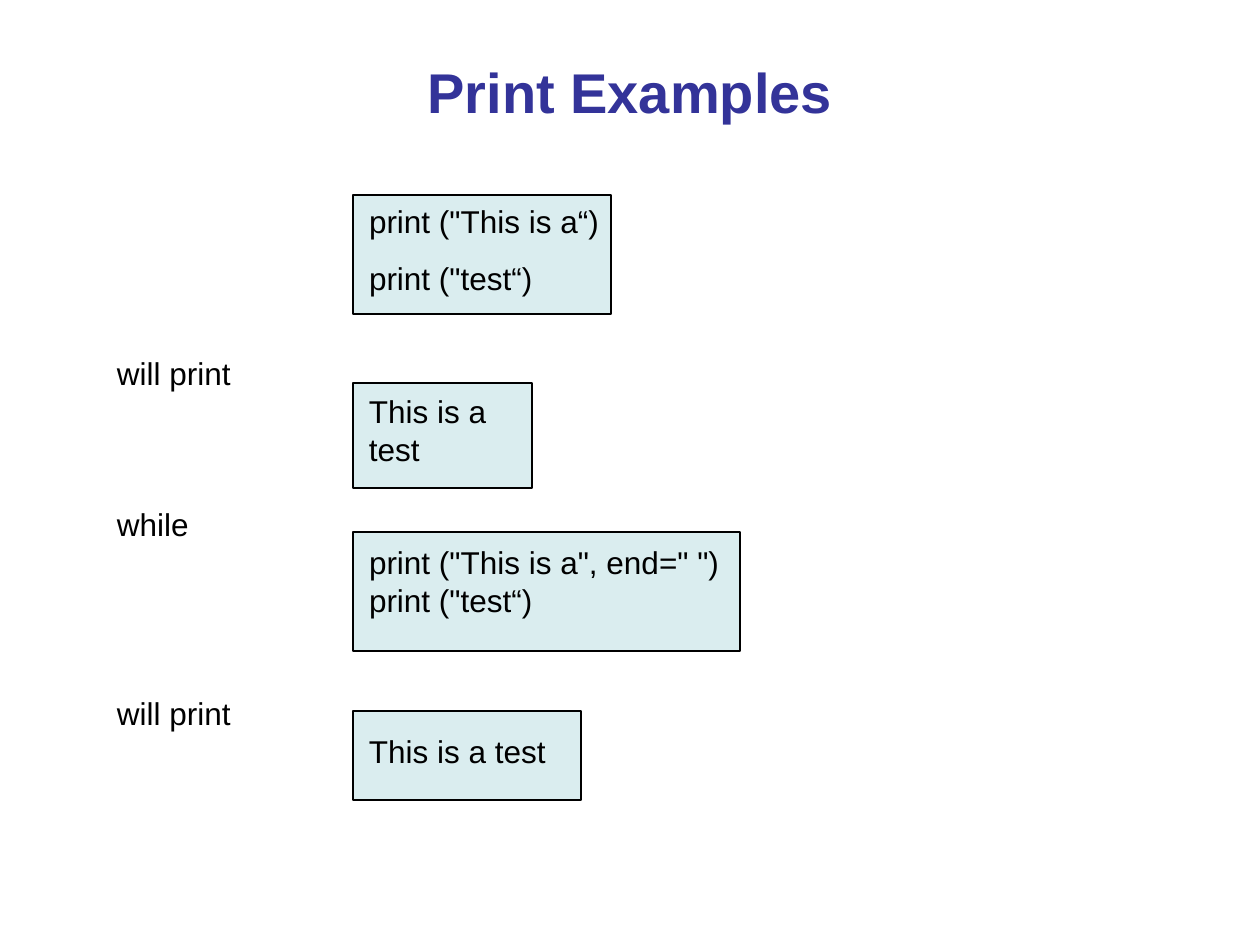
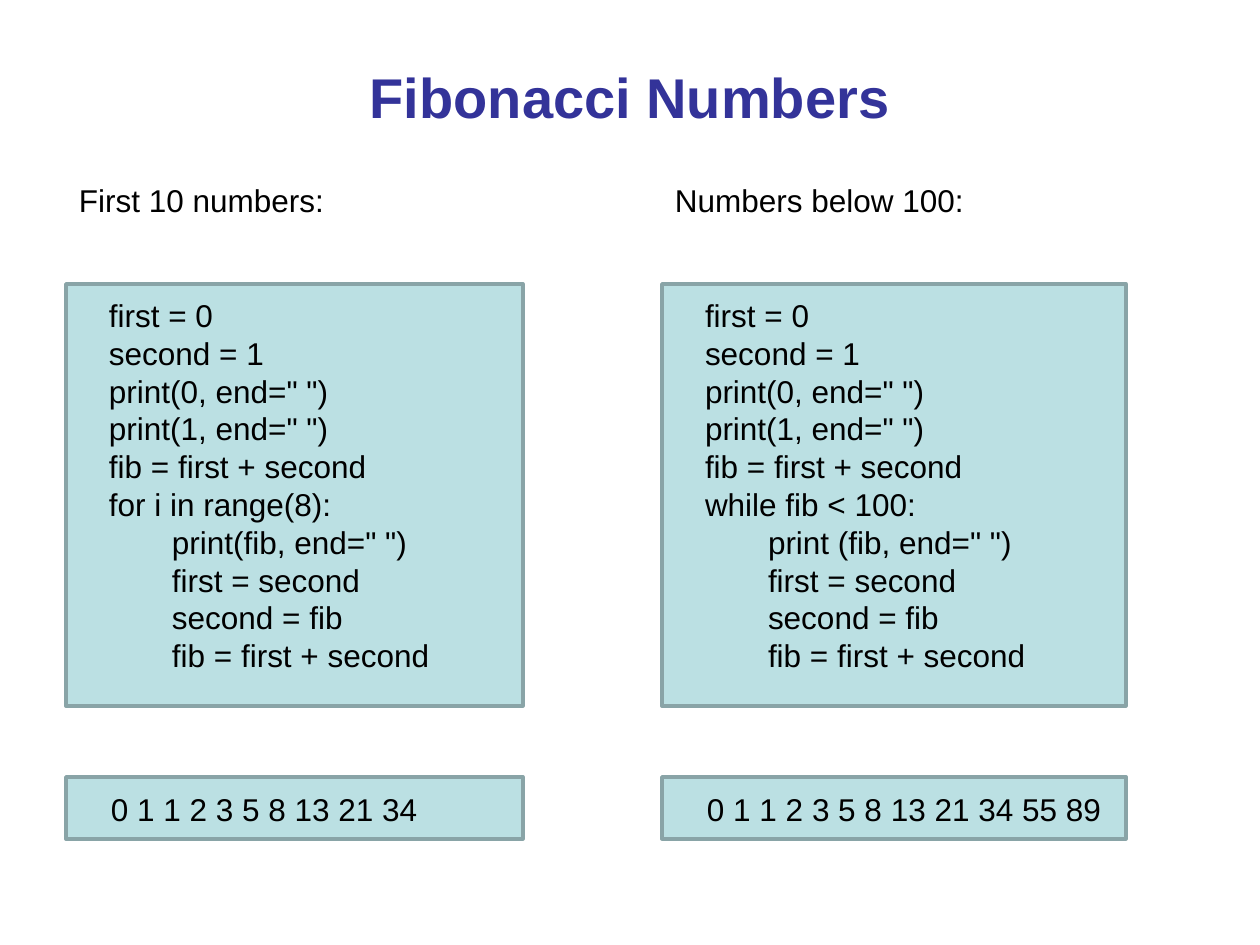
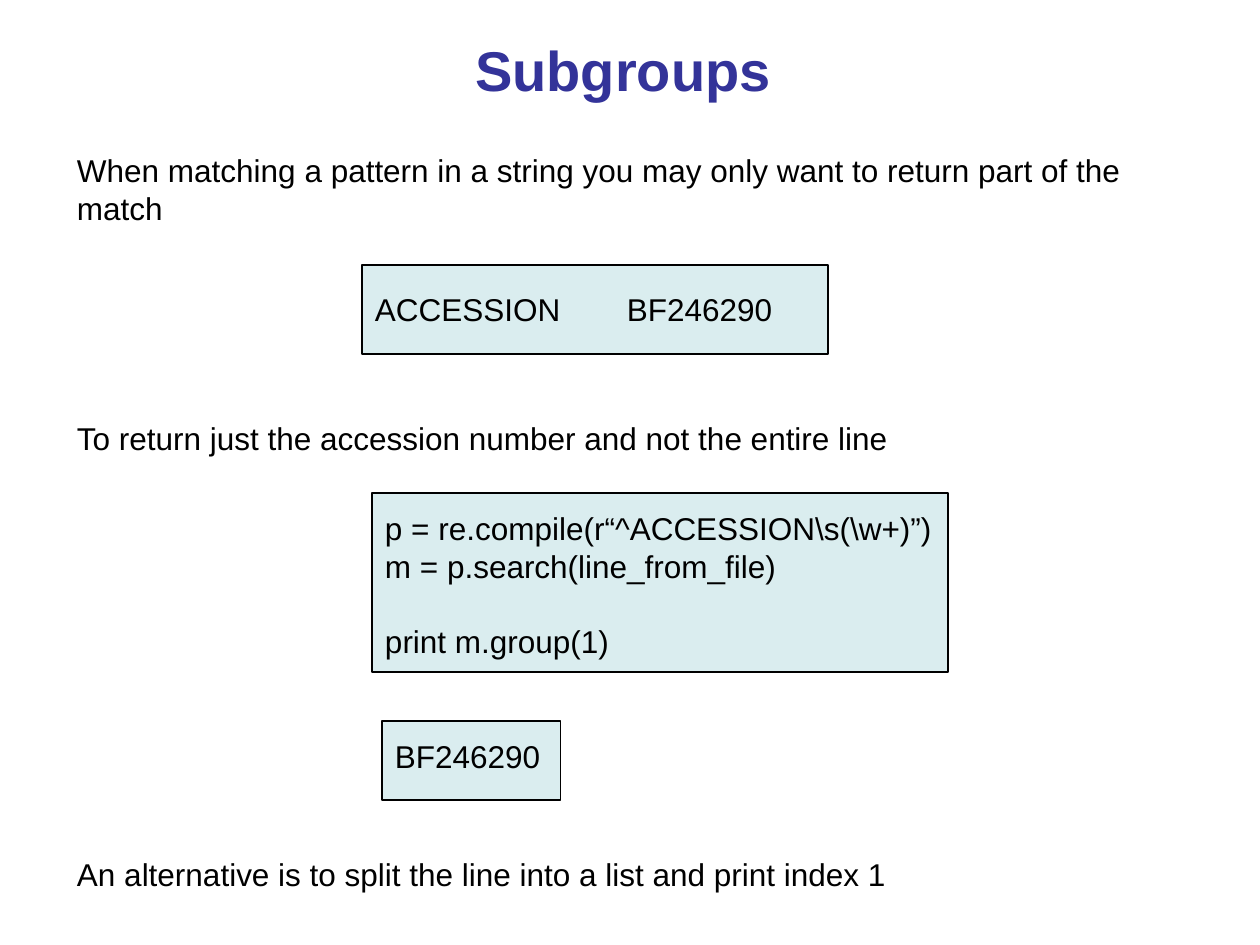
from pptx import Presentation
from pptx.dml.color import RGBColor
from pptx.enum.shapes import MSO_SHAPE
from pptx.enum.text import MSO_ANCHOR, PP_ALIGN
from pptx.util import Emu, Pt

RECT = MSO_SHAPE.RECTANGLE
TOP, MIDDLE = MSO_ANCHOR.TOP, MSO_ANCHOR.MIDDLE
LEFT, CENTER = PP_ALIGN.LEFT, PP_ALIGN.CENTER

PX = 914400 // 126
FONT = "Arial"
TEXT_SIZE, TITLE_SIZE, LINE_PITCH = 18, 32, 21.6
COLORS = {
    "title": "333399",
    "text": "000000",
    "pale": "DAEDEF",
    "teal": "BBE0E3",
    "teal_line": "89A4A7",
}
# fill, line colour, line width in points
PALE = ("pale", "text", 0.75)
TEAL = ("teal", "teal_line", 2)

# A line of text is a string, or a (string, points of space before) pair.
# Boxes: (left, top, width, height), (left inset, top inset), lines
PRINT_BOXES = [
    ((353, 195, 258, 119), (16, 7), ['print ("This is a“)', ('print ("test“)', 11.2)]),
    ((353, 383, 179, 105), (16, 9), ["This is a", "test"]),
    ((353, 532, 387, 119), (16, 11), ['print ("This is a", end=" ")', 'print ("test“)']),
    ((353, 711, 228, 89), (16, 21), ["This is a test"]),
]
# Labels: (left, top, width, height), text
PRINT_LABELS = [
    ((104, 348, 220, 50), "will print"),
    ((104, 499, 220, 50), "while"),
    ((104, 688, 220, 50), "will print"),
]

FIB_START = ["first = 0", "second = 1", 'print(0, end=" ")', 'print(1, end=" ")',
             "fib = first + second"]
FIB_STEP = ["\tfirst = second", "\tsecond = fib", "\tfib = first + second"]
# left, width, heading, loop lines, output
FIB_COLUMNS = [
    (66, 457, "First 10 numbers:",
     ["for i in range(8):", '\tprint(fib, end=" ")'],
     "0 1 1 2 3 5 8 13 21 34"),
    (662, 464, "Numbers below 100:",
     ["while fib < 100:", '\tprint (fib, end=" ")'],
     "0 1 1 2 3 5 8 13 21 34 55 89"),
]

GROUP_BOXES = [
    ((362, 265, 466, 89), (13, 25), ["ACCESSION \tBF246290"]),
    ((372, 493, 576, 179), (13, 16),
     [r"p = re.compile(r“^ACCESSION\s(\w+)”)", "m = p.search(line_from_file)",
      ("print m.group(1)", LINE_PITCH)]),
    ((382, 721, 179, 79), (13, 16), ["BF246290"]),
]
GROUP_LABELS = [
    ((64, 145, 1131, 88),
     "When matching a pattern in a string you may only want to return part of the match"),
    ((64, 413, 1131, 50), "To return just the accession number and not the entire line"),
    ((64, 849, 1131, 50), "An alternative is to split the line into a list and print index 1"),
]


def color(name):
    return RGBColor.from_string(COLORS[name])


def place(rect):
    return [Emu(v * PX) for v in rect]


def write(sp, lines, inset, anchor=TOP):
    tf = sp.text_frame
    tf.word_wrap = True
    tf.vertical_anchor = anchor
    tf.margin_left, tf.margin_top = place(inset)
    tf.margin_right = tf.margin_bottom = 0
    for i, line in enumerate(lines):
        text, before = (line, 0) if isinstance(line, str) else line
        p = tf.paragraphs[0] if i == 0 else tf.add_paragraph()
        p.text = text
        p.alignment = LEFT
        p.space_before = Pt(before)
        p.line_spacing = Pt(LINE_PITCH)
        p.font.name, p.font.size = FONT, Pt(TEXT_SIZE)
        p.font.color.rgb = color("text")


def add_box(slide, rect, inset, lines, style=PALE):
    fill, line, width = style
    sp = slide.shapes.add_shape(RECT, *place(rect))
    sp.shadow.inherit = False
    sp.fill.solid()
    sp.fill.fore_color.rgb = color(fill)
    sp.line.color.rgb = color(line)
    sp.line.width = Pt(width)
    write(sp, lines, inset)


def add_label(slide, rect, text):
    write(slide.shapes.add_textbox(*place(rect)), [text], (13, 6))


def add_titled_slide(prs, title, rect):
    slide = prs.slides.add_slide(prs.slide_layouts[6])
    tf = slide.shapes.add_textbox(*place(rect)).text_frame
    tf.word_wrap = True
    tf.vertical_anchor = MIDDLE
    p = tf.paragraphs[0]
    p.text = title
    p.alignment = CENTER
    p.font.name, p.font.size, p.font.bold = FONT, Pt(TITLE_SIZE), True
    p.font.color.rgb = color("title")
    return slide


def add_example_slide(prs, title, title_rect, boxes, labels):
    slide = add_titled_slide(prs, title, title_rect)
    for box in boxes:
        add_box(slide, *box)
    for label in labels:
        add_label(slide, *label)


def add_fibonacci_slide(prs):
    slide = add_titled_slide(prs, "Fibonacci Numbers", (63, 38, 1134, 117))
    for left, width, heading, loop, output in FIB_COLUMNS:
        add_label(slide, (left, 175, width, 50), heading)
        add_box(slide, (left, 284, width, 422), (43, 12), FIB_START + loop + FIB_STEP, TEAL)
        add_box(slide, (left, 777, width, 62), (45, 13), [output], TEAL)


def main():
    prs = Presentation()
    prs.slide_width, prs.slide_height = place((1260, 945))
    add_example_slide(prs, "Print Examples", (63, 38, 1134, 107), PRINT_BOXES, PRINT_LABELS)
    add_fibonacci_slide(prs)
    add_example_slide(prs, "Subgroups ", (64, 26, 1134, 87), GROUP_BOXES, GROUP_LABELS)
    prs.save("out.pptx")


if __name__ == "__main__":
    main()
